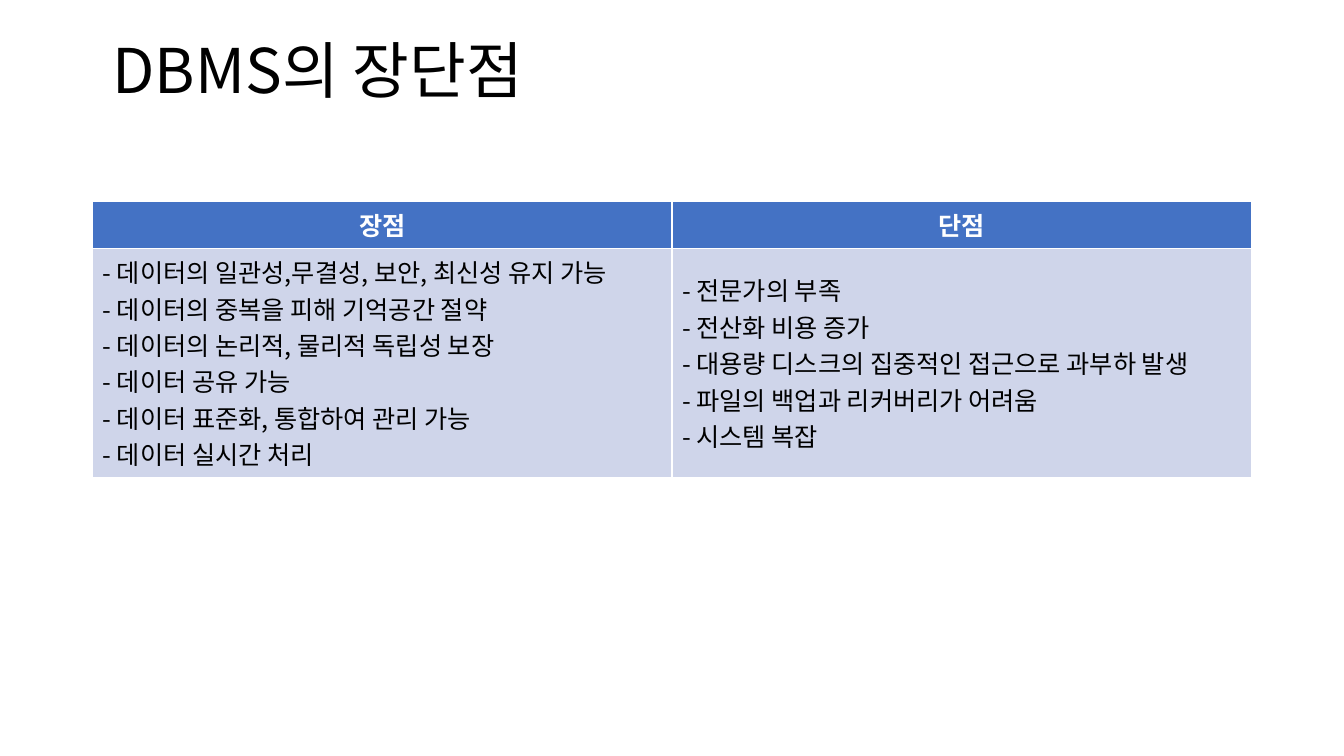
from pptx import Presentation
from pptx.dml.color import RGBColor as RGB
from pptx.enum.text import MSO_ANCHOR as Anchor, PP_ALIGN as Align
from pptx.oxml.ns import qn
from pptx.util import Pt

FONT = "Noto Sans CJK KR"
COLORS = {"text": "000000", "head_text": "FFFFFF", "head": "4472C4", "body": "CFD5EA"}
TITLE = {"size": Pt(44), "bold": False}
HEAD = {"size": Pt(18), "bold": True}
BODY = {"size": Pt(18), "bold": False}
HEAD_H, BODY_H = 33.3, 163.6

COLUMNS = {
    "장점": [
        "데이터의 일관성,무결성, 보안, 최신성 유지 가능",
        "데이터의 중복을 피해 기억공간 절약",
        "데이터의 논리적, 물리적 독립성 보장",
        "데이터 공유 가능",
        "데이터 표준화, 통합하여 관리 가능",
        "데이터 실시간 처리",
    ],
    "단점": [
        "전문가의 부족",
        "전산화 비용 증가",
        "대용량 디스크의 집중적인 접근으로 과부하 발생",
        "파일의 백업과 리커버리가 어려움",
        "시스템 복잡",
    ],
}


def write(tf, lines, style, color, align=Align.LEFT, spacing=1.0):
    """Fill a text frame with one paragraph per line."""
    tf.text = "\n".join(lines)
    for p in tf.paragraphs:
        p.alignment, p.line_spacing = align, spacing
        for r in p.runs:
            r.font.name = FONT
            r.font.color.rgb = RGB.from_string(COLORS[color])
            for name, value in style.items():
                setattr(r.font, name, value)
            ea = r.font._element.makeelement(qn("a:ea"), {"typeface": FONT})
            r.font._element.find(qn("a:latin")).addnext(ea)


def add_title(s, x, y, w, h):
    tf = s.shapes.add_textbox(Pt(x), Pt(y), Pt(w), Pt(h)).text_frame
    tf.word_wrap = True
    tf.vertical_anchor = Anchor.MIDDLE
    tf.margin_left = Pt(14.4)
    tf.margin_top = tf.margin_bottom = 0
    write(tf, ["DBMS의 장단점"], TITLE, "text", spacing=0.9)


def fill_cell(cell, fill, *text):
    cell.fill.solid()
    cell.fill.fore_color.rgb = RGB.from_string(COLORS[fill])
    cell.vertical_anchor = Anchor.MIDDLE
    write(cell.text_frame, *text)


def add_comparison(s, x, y, w):
    n = len(COLUMNS)
    frame = s.shapes.add_table(2, n, Pt(x), Pt(y), Pt(w), Pt(HEAD_H + BODY_H))
    table = frame.table
    table.horz_banding = False
    for row, height in zip(table.rows, (HEAD_H, BODY_H)):
        row.height = Pt(height)
    for i, (heading, points) in enumerate(COLUMNS.items()):
        table.columns[i].width = Pt(w / n)
        fill_cell(table.cell(0, i), "head", [heading], HEAD, "head_text", Align.CENTER)
        fill_cell(table.cell(1, i), "body", [f"- {t}" for t in points], BODY, "text")


def main():
    prs = Presentation()
    prs.slide_width, prs.slide_height = Pt(960), Pt(540)
    s = prs.slides.add_slide(prs.slide_layouts[6])
    add_title(s, 66, 24, 828, 57)
    add_comparison(s, 66, 144, 828)
    prs.save("out.pptx")


if __name__ == "__main__":
    main()
